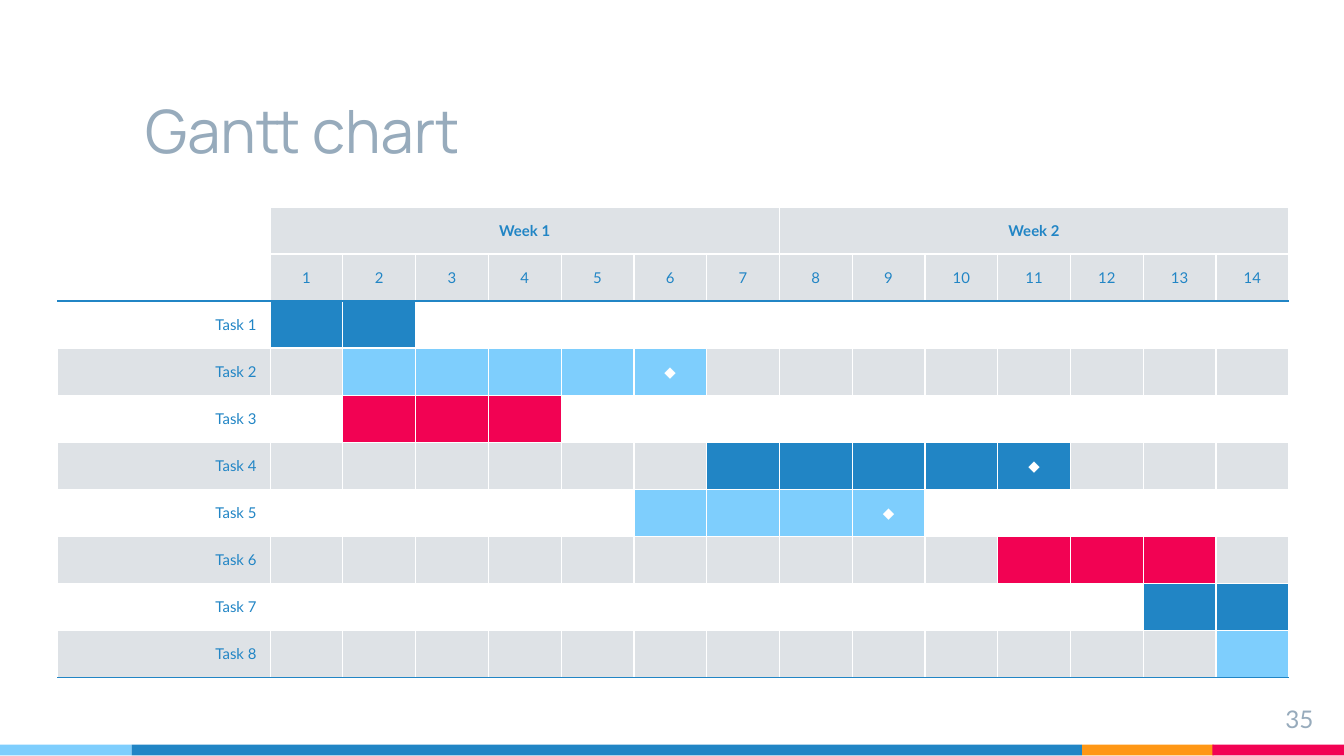
from dataclasses import dataclass
from typing import Optional

from lxml.etree import SubElement
from pptx import Presentation
from pptx.dml.color import RGBColor
from pptx.enum.shapes import MSO_SHAPE
from pptx.enum.text import MSO_ANCHOR, PP_ALIGN
from pptx.oxml.ns import qn
from pptx.slide import Slide
from pptx.table import Table, _Cell
from pptx.text.text import TextFrame
from pptx.util import Inches, Pt

BLUE = RGBColor(0x21, 0x85, 0xC5)
SKY = RGBColor(0x7E, 0xCE, 0xFD)
RED = RGBColor(0xF2, 0x02, 0x53)
ORANGE = RGBColor(0xFF, 0x97, 0x15)
SLATE = RGBColor(0x97, 0xAB, 0xBC)
GREY = RGBColor(0xDE, 0xE2, 0xE6)
WHITE = RGBColor(0xFF, 0xFF, 0xFF)

DAYS_PER_WEEK = 7
WEEKS = 2
DAYS = DAYS_PER_WEEK * WEEKS
HEADER_ROWS = 2
TABLE_WIDTH = 9.16
LABEL_WIDTH = 1.58
ROW_HEIGHT = 0.35


@dataclass(frozen=True)
class Task:
    first_day: int
    last_day: int
    color: RGBColor
    milestone: Optional[int] = None


@dataclass(frozen=True)
class Stripe:
    left: float
    width: float
    color: RGBColor


TASKS = [
    Task(1, 2, BLUE),
    Task(2, 6, SKY, milestone=6),
    Task(2, 4, RED),
    Task(7, 11, BLUE, milestone=11),
    Task(6, 9, SKY, milestone=9),
    Task(11, 13, RED),
    Task(13, 14, BLUE),
    Task(14, 14, SKY),
]

STRIPES = [
    Stripe(8.05, 0.98, ORANGE),
    Stripe(9.02, 0.98, RED),
    Stripe(0, 0.98, SKY),
    Stripe(0.98, 7.07, BLUE),
]


def write(frame: TextFrame, text: str, font_name: str, size: float,
          color: RGBColor, align: PP_ALIGN, bold: bool = False) -> None:
    paragraph = frame.paragraphs[0]
    paragraph.alignment = align
    run = paragraph.add_run()
    run.text = text
    run.font.name = font_name
    run.font.size = Pt(size)
    run.font.bold = bold
    run.font.color.rgb = color


def set_insets(frame: TextFrame, inset: float) -> None:
    frame.margin_left = frame.margin_right = Inches(inset)
    frame.margin_top = frame.margin_bottom = Inches(inset)


def add_stripe(slide: Slide, stripe: Stripe) -> None:
    bar = slide.shapes.add_shape(
        MSO_SHAPE.RECTANGLE, Inches(stripe.left), Inches(5.54),
        Inches(stripe.width), Inches(0.08))
    bar.shadow.inherit = False
    bar.fill.solid()
    bar.fill.fore_color.rgb = stripe.color
    bar.line.fill.background()


def add_title(slide: Slide, text: str) -> None:
    title = slide.shapes.title
    title.left, title.top = Inches(0.98), Inches(0.39)
    title.width, title.height = Inches(7.07), Inches(0.94)
    title.text_frame.vertical_anchor = MSO_ANCHOR.BOTTOM
    set_insets(title.text_frame, 0.1)
    write(title.text_frame, text, "Manrope", 32, SLATE, PP_ALIGN.LEFT)


def add_page_number(slide: Slide, number: str) -> None:
    box = slide.shapes.add_textbox(
        Inches(9.27), Inches(5.14), Inches(0.6), Inches(0.34))
    box.text_frame.word_wrap = True
    set_insets(box.text_frame, 0.1)
    write(box.text_frame, number, "Lato", 13, SLATE, PP_ALIGN.RIGHT)


def style_cell(cell: _Cell, row: int, last_row: int) -> None:
    """Set borders, insets and the small font that keeps empty rows low."""
    top = BLUE if row == HEADER_ROWS else WHITE
    bottom = BLUE if row in (HEADER_ROWS - 1, last_row) else WHITE
    properties = cell._tc.get_or_add_tcPr()
    for side, color in (("L", WHITE), ("R", WHITE), ("T", top), ("B", bottom)):
        border = SubElement(properties, qn(f"a:ln{side}"), w=str(Pt(0.75)),
                            cap="flat", cmpd="sng")
        fill = SubElement(border, qn("a:solidFill"))
        SubElement(fill, qn("a:srgbClr"), val=str(color))
        SubElement(border, qn("a:prstDash"), val="solid")
    cell.fill.background()
    cell.vertical_anchor = MSO_ANCHOR.MIDDLE
    cell.margin_left = cell.margin_right = Inches(0.1)
    cell.margin_top = cell.margin_bottom = Inches(0.05)
    end_mark = SubElement(cell.text_frame.paragraphs[0]._p, qn("a:endParaRPr"))
    end_mark.set("sz", "800")


def fill_cell(cell: _Cell, color: RGBColor) -> None:
    cell.fill.solid()
    cell.fill.fore_color.rgb = color


def write_cell(cell: _Cell, text: str, color: RGBColor = BLUE,
               align: PP_ALIGN = PP_ALIGN.CENTER, bold: bool = False) -> None:
    write(cell.text_frame, text, "Lato", 8, color, align, bold)


def draw_header(table: Table) -> None:
    for week in range(WEEKS):
        first = 1 + week * DAYS_PER_WEEK
        heading = table.cell(0, first)
        heading.merge(table.cell(0, first + DAYS_PER_WEEK - 1))
        fill_cell(heading, GREY)
        write_cell(heading, f"Week {week + 1}", bold=True)
    for day in range(1, DAYS + 1):
        fill_cell(table.cell(1, day), GREY)
        write_cell(table.cell(1, day), str(day))


def draw_task(table: Table, number: int, task: Task) -> None:
    row = HEADER_ROWS + number - 1
    write_cell(table.cell(row, 0), f"Task {number}", align=PP_ALIGN.RIGHT)
    for column in range(DAYS + 1):
        if task.first_day <= column <= task.last_day:
            fill_cell(table.cell(row, column), task.color)
        elif number % 2 == 0:
            fill_cell(table.cell(row, column), GREY)
    if task.milestone:
        write_cell(table.cell(row, task.milestone), "◆", WHITE)


def add_gantt(slide: Slide) -> None:
    row_count = HEADER_ROWS + len(TASKS)
    table = slide.shapes.add_table(
        row_count, DAYS + 1, Inches(0.43), Inches(1.54),
        Inches(TABLE_WIDTH), Inches(ROW_HEIGHT * row_count)).table
    table.first_row = table.horz_banding = False
    day_width = (TABLE_WIDTH - LABEL_WIDTH) / DAYS
    for index, column in enumerate(table.columns):
        column.width = Inches(day_width if index else LABEL_WIDTH)
    for index, row in enumerate(table.rows):
        row.height = Inches(ROW_HEIGHT)
        for cell in row.cells:
            style_cell(cell, index, row_count - 1)
    draw_header(table)
    for number, task in enumerate(TASKS, start=1):
        draw_task(table, number, task)


def main() -> None:
    presentation = Presentation()
    presentation.slide_width = Inches(10)
    presentation.slide_height = Inches(10 * 9 / 16)
    slide = presentation.slides.add_slide(presentation.slide_layouts[5])
    for stripe in STRIPES:
        add_stripe(slide, stripe)
    add_title(slide, "Gantt chart")
    add_page_number(slide, "35")
    add_gantt(slide)
    presentation.save("out.pptx")


if __name__ == "__main__":
    main()
